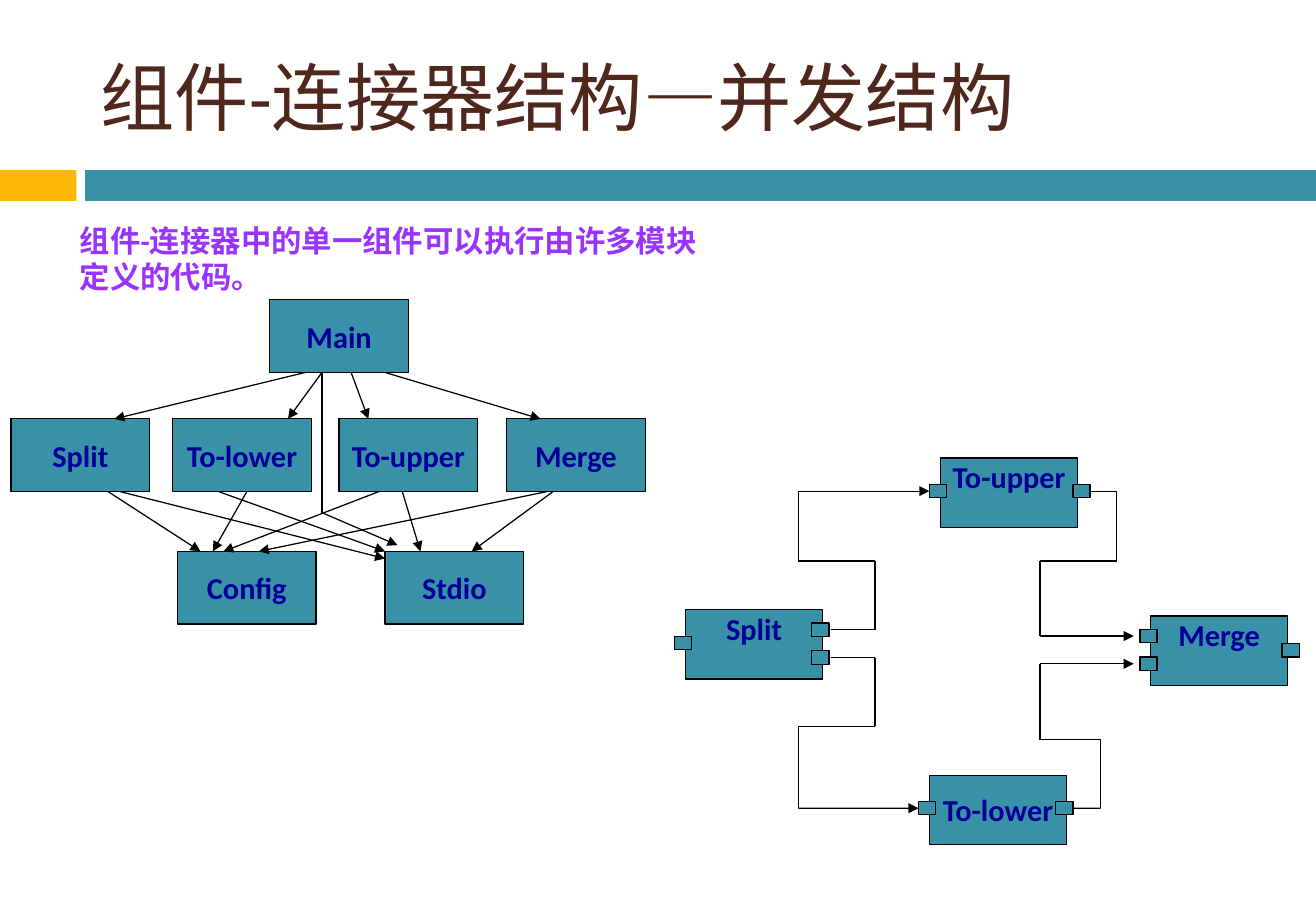
from itertools import pairwise

from lxml import etree
from pptx import Presentation
from pptx import util as u
from pptx.dml.color import RGBColor
from pptx.enum import shapes, text
from pptx.oxml import ns

TEAL = RGBColor(0x38, 0x91, 0xA7)
AMBER = RGBColor(0xFE, 0xB8, 0x0A)
BROWN = RGBColor(0x4F, 0x27, 0x1C)
PURPLE = RGBColor(0x99, 0x33, 0xFF)
NAVY = RGBColor(0x00, 0x00, 0x99)
BLACK = RGBColor(0, 0, 0)
FONT = "Calibri"
LEFT, RIGHT = 1, 3  # connection sites

# Content; all lengths are in centimetres
TITLE = "组件-连接器结构—并发结构"
NOTE = "组件-连接器中的单一组件可以执行由许多模块定义的代码。"

# Module view: rows of (top, [(name, left)])
MODULE_SIZE = (2.9, 1.52)
MAIN_TOP, WORK_TOP, BASE_TOP = 6.27, 8.76, 11.53
MODULE_ROWS = [
    (MAIN_TOP, [("Main", 5.64)]),
    (WORK_TOP, [("Split", 0.23), ("To-lower", 3.61),
                ("To-upper", 7.09), ("Merge", 10.59)]),
    (BASE_TOP, [("Config", 3.71), ("Stdio", 8.05)]),
]
# Calls between rows: (x at the caller, x at the callee)
MAIN_CALLS = [(6.38, 2.39), (6.73, 6.02), (7.34, 7.7), (8.05, 11.3)]
WORK_CALLS = [(8.41, 8.79), (11.56, 9.86), (4.57, 8.05), (2.26, 4.19),
              (5.16, 4.45), (7.92, 4.67), (11.43, 5.41)]
MAIN_TO_STDIO = [(6.73, 7.79), (6.73, 10.72), (8.31, 11.4)]
SPLIT_TO_STDIO = [(2.51, 10.28), (8.05, 11.68)]

# Component view: name, left, top, label at top, ports {name: (left, top)}
COMPONENT_SIZE = (2.87, 1.45)
PORT_SIZE = (0.36, 0.28)
COMPONENTS = [
    ("Split", 14.33, 12.75, True,
     {"split in": (14.1, 13.31), "split out 1": (16.97, 13.03),
      "split out 2": (16.97, 13.61)}),
    ("To-upper", 19.66, 9.58, True,
     {"upper in": (19.43, 10.13), "upper out": (22.43, 10.13)}),
    ("To-lower", 19.43, 16.21, False,
     {"lower in": (19.2, 16.76), "lower out": (22.07, 16.76)}),
    ("Merge", 24.05, 12.88, True,
     {"merge in 1": (23.83, 13.16), "merge in 2": (23.83, 13.74),
      "merge out": (26.8, 13.46)}),
]
# Pipes: start x, y; x of first turn; middle y; x of second turn;
# end x, y; joined start port; joined end port
PIPES = [
    (17.37, 13.17, 18.29, 11.73, 16.69, 19.43, 10.27, None, "upper in"),
    (17.37, 13.75, 18.29, 15.19, 16.69, 19.2, 16.9, None, "lower in"),
    (22.79, 10.27, 23.34, 11.73, 21.74, 23.7, 13.3, "upper out", None),
    (22.43, 16.9, 23.01, 15.47, 21.74, 23.7, 13.88, "lower out", None),
]

prs = Presentation()
prs.slide_width, prs.slide_height = u.Cm(27.51), u.Cm(19.05)
s = prs.slides.add_slide(prs.slide_layouts[6])


def write(sp, words, size=18, color=NAVY, bold=True, wrap=False,
          align=text.PP_ALIGN.CENTER, anchor=text.MSO_ANCHOR.MIDDLE):
    tf = sp.text_frame
    tf.word_wrap = wrap
    tf.vertical_anchor = anchor
    p = tf.paragraphs[0]
    p.alignment = align
    r = p.add_run()
    r.text = words
    r.font.name, r.font.size, r.font.bold = FONT, u.Pt(size), bold
    r.font.color.rgb = color


def box(left, top, size, fill=TEAL, outlined=True):
    sp = s.shapes.add_shape(shapes.MSO_SHAPE.RECTANGLE,
                            *map(u.Cm, (left, top, *size)))
    sp.shadow.inherit = False
    sp.fill.solid()
    sp.fill.fore_color.rgb = fill
    if outlined:
        sp.line.color.rgb = BLACK
        sp.line.width = u.Pt(0.75)
    else:
        sp.line.fill.background()
    return sp


def polyline(points):
    """Join points with straight lines; the last one has an arrowhead."""
    lines = []
    for start, end in pairwise(points):
        c = s.shapes.add_connector(shapes.MSO_CONNECTOR.STRAIGHT,
                                   *map(u.Cm, (*start, *end)))
        c.line.color.rgb = BLACK
        c.line.width = u.Pt(0.75)
        etree.SubElement(c._element.spPr, ns.qn("a:effectLst"))
        lines.append(c)
    etree.SubElement(lines[-1].line._get_or_add_ln(), ns.qn("a:tailEnd"),
                     type="triangle")
    return lines


def text_box(left, top, width, height, words, **style):
    sp = s.shapes.add_textbox(*map(u.Cm, (left, top, width, height)))
    write(sp, words, wrap=True, align=text.PP_ALIGN.LEFT, **style)


# Title, band and note
box(0, 3.56, (1.6, 0.64), AMBER, outlined=False)
box(1.78, 3.56, (25.73, 0.64), outlined=False)
text_box(1.85, 0.64, 24.54, 2.74, TITLE, size=44, color=BROWN, bold=False)
text_box(1.42, 4.52, 13.77, 1.8, NOTE, color=PURPLE,
         anchor=text.MSO_ANCHOR.TOP)

# Module view
for top, modules in MODULE_ROWS:
    for name, left in modules:
        write(box(left, top, MODULE_SIZE), name)
for calls, top, callee_top in ((MAIN_CALLS, MAIN_TOP, WORK_TOP),
                               (WORK_CALLS, WORK_TOP, BASE_TOP)):
    for x1, x2 in calls:
        polyline([(x1, top + MODULE_SIZE[1]), (x2, callee_top)])
polyline(MAIN_TO_STDIO)
polyline(SPLIT_TO_STDIO)

# Component view
ports = {}
for name, left, top, label_on_top, component_ports in COMPONENTS:
    sp = box(left, top, COMPONENT_SIZE)
    if label_on_top:
        sp.text_frame.margin_top = 0
        write(sp, name, anchor=text.MSO_ANCHOR.TOP)
    else:
        write(sp, name)
    for port, place in component_ports.items():
        ports[port] = box(*place, PORT_SIZE)

for x1, y1, turn1, middle, turn2, x2, y2, source, target in PIPES:
    lines = polyline([(x1, y1), (turn1, y1), (turn1, middle),
                      (turn2, middle), (turn2, y2), (x2, y2)])
    if source:
        lines[0].begin_connect(ports[source], RIGHT)
    if target:
        lines[-1].end_connect(ports[target], LEFT)

prs.save("out.pptx")
